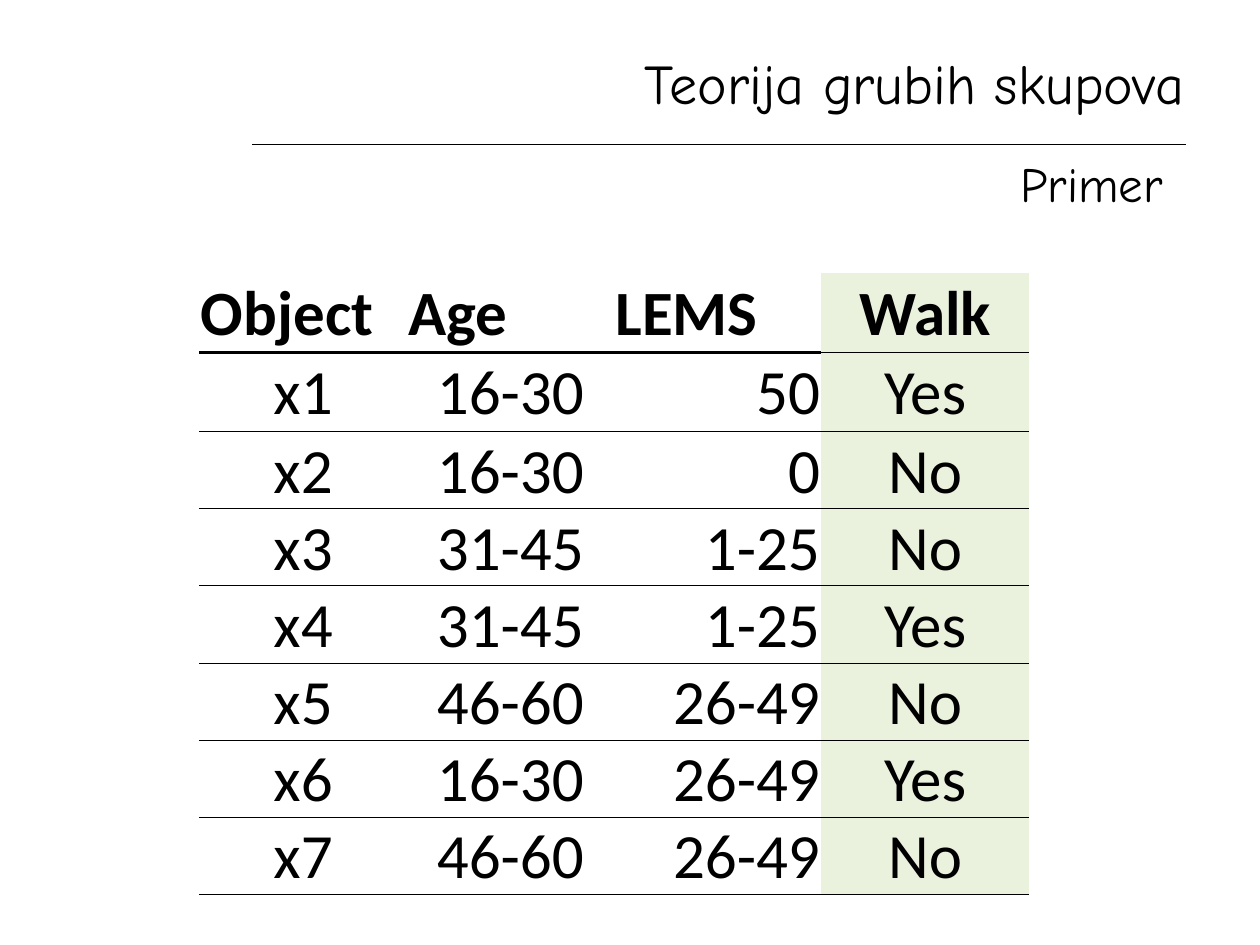
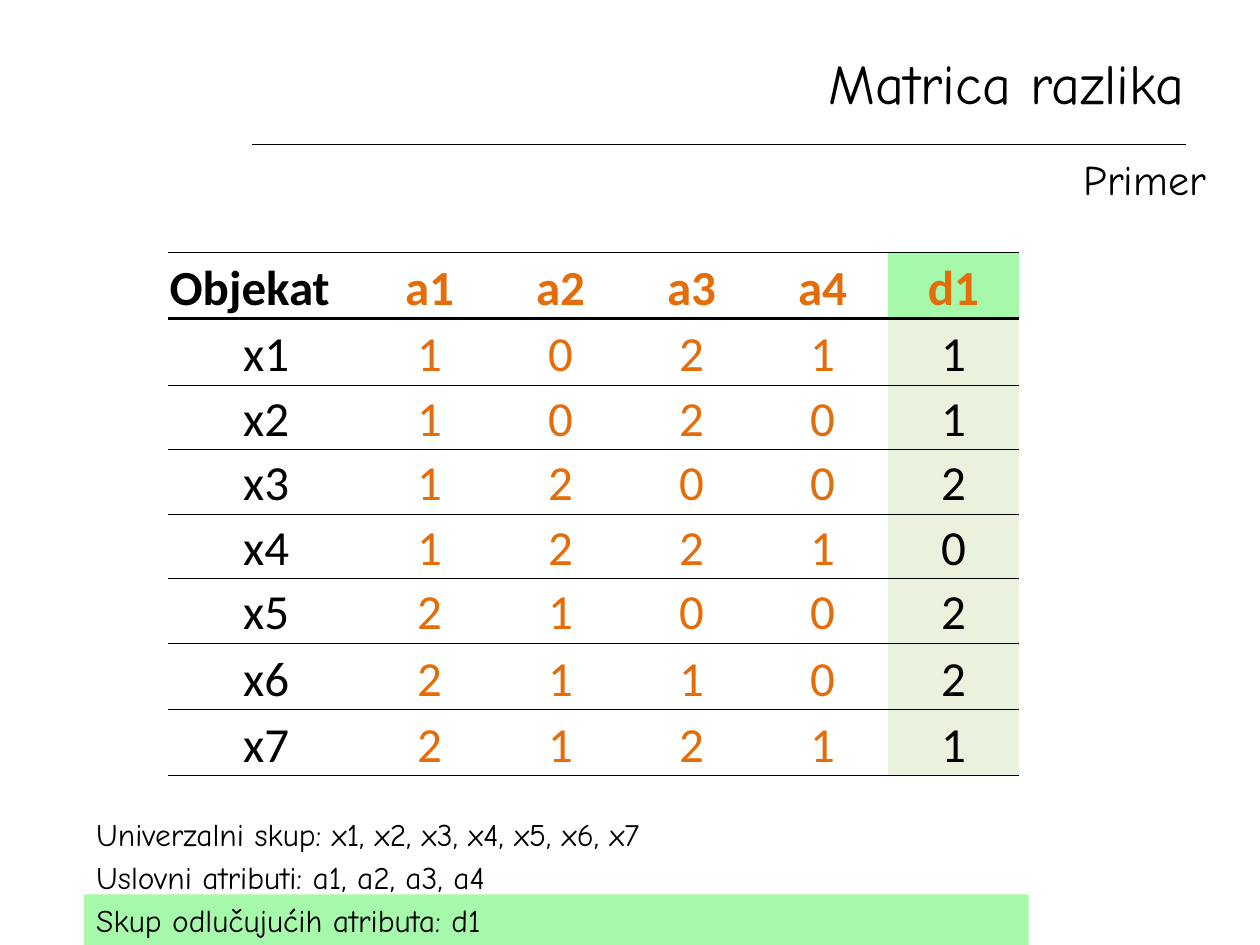
import pptx
import pptx.dml.color
import pptx.enum.shapes
import pptx.enum.text
import pptx.oxml
import pptx.oxml.ns
import pptx.util
from lxml import etree

Cm = pptx.util.Cm
Pt = pptx.util.Pt
RGBColor = pptx.dml.color.RGBColor
ALIGN = pptx.enum.text.PP_ALIGN
ANCHOR = pptx.enum.text.MSO_ANCHOR
qn = pptx.oxml.ns.qn

BLACK = RGBColor(0x00, 0x00, 0x00)
ORANGE = RGBColor(0xE4, 0x6D, 0x0A)
PALE_GREEN = RGBColor(0xEA, 0xF1, 0xDD)
BRIGHT_GREEN = RGBColor(0xA6, 0xF8, 0xAA)

HEADING_FONT = "Comic Neue"
TABLE_FONT = "Calibri"
THIN, THICK = 0.5, 2
ALIGNS = {"l": ALIGN.LEFT, "c": ALIGN.CENTER, "r": ALIGN.RIGHT}
CELL_FORMAT = {
    "margin_left": Cm(0.03),
    "margin_right": Cm(0.03),
    "margin_top": Cm(0.03),
    "margin_bottom": 0,
    "vertical_anchor": ANCHOR.BOTTOM,
}

PATIENTS = [
    ["Object", "Age", "LEMS", "Walk"],
    ["x1", "16-30", "50", "Yes"],
    ["x2", "16-30", "0", "No"],
    ["x3", "31-45", "1-25", "No"],
    ["x4", "31-45", "1-25", "Yes"],
    ["x5", "46-60", "26-49", "No"],
    ["x6", "16-30", "26-49", "Yes"],
    ["x7", "46-60", "26-49", "No"],
]
ATTRIBUTES = [
    ["Objekat", "a1", "a2", "a3", "a4", "d1"],
    ["x1", "1", "0", "2", "1", "1"],
    ["x2", "1", "0", "2", "0", "1"],
    ["x3", "1", "2", "0", "0", "2"],
    ["x4", "1", "2", "2", "1", "0"],
    ["x5", "2", "1", "0", "0", "2"],
    ["x6", "2", "1", "1", "0", "2"],
    ["x7", "2", "1", "2", "1", "1"],
]
SETS = [
    ("Univerzalni skup: x1, x2, x3, x4, x5, x6, x7", None),
    ("Uslovni atributi: a1, a2, a3, a4", None),
    ("Skup odlučujućih atributa: d1", BRIGHT_GREEN),
]


def set_attrs(obj, values):
    for name, value in values.items():
        setattr(obj, name, value)


def write(tf, text, size, align=ALIGN.LEFT, font=HEADING_FONT, color=BLACK, bold=False):
    p = tf.paragraphs[0]
    p.alignment = align
    r = p.add_run()
    r.text = text
    set_attrs(r.font, {"name": font, "size": Pt(size), "bold": bold})
    r.font.color.rgb = color


def add_text(s, box, text, size, align=ALIGN.LEFT, anchor=ANCHOR.TOP, fill=None):
    sp = s.shapes.add_textbox(*map(Cm, box))
    if fill is not None:
        sp.fill.solid()
        sp.fill.fore_color.rgb = fill
    set_attrs(sp.text_frame, {"word_wrap": True, "vertical_anchor": anchor})
    write(sp.text_frame, text, size, align)


def add_header(s, box, title):
    left, top, width, height = box
    add_text(s, box, title, 32, ALIGN.RIGHT, ANCHOR.MIDDLE)
    y = Cm(top + height + 0.3)
    line = s.shapes.add_connector(
        pptx.enum.shapes.MSO_CONNECTOR.STRAIGHT, Cm(left), y, Cm(left + width - 0.23), y)
    line.line.color.rgb = BLACK
    line.line.width = Pt(0.75)
    etree.SubElement(line._element.spPr, qn("a:effectLst"))


def set_borders(cell, top, bottom):
    tcPr = cell._tc.get_or_add_tcPr()
    sides = [("lnL", 0), ("lnR", 0), ("lnT", top), ("lnB", bottom)]
    for i, (side, width) in enumerate(sides):
        ln = etree.Element(qn(f"a:{side}"), w=str(int(Pt(width))))
        if width:
            fill = etree.SubElement(ln, qn("a:solidFill"))
            etree.SubElement(fill, qn("a:srgbClr"), val=str(BLACK))
        else:
            etree.SubElement(ln, qn("a:noFill"))
        tcPr.insert(i, ln)


def fill_cell(cell, text, size, align, color, bold, fill, top, bottom):
    set_attrs(cell, CELL_FORMAT)
    write(cell.text_frame, text, size, align, TABLE_FONT, color, bold)
    if fill is None:
        cell.fill.background()
    else:
        cell.fill.solid()
        cell.fill.fore_color.rgb = fill
    set_borders(cell, top, bottom)


def add_data_table(s, box, data, col_widths, row_heights, size, head_aligns, body_aligns,
                   accent=BLACK, decision_head=PALE_GREEN, top_rule=0, decision_rule=THICK):
    frame = s.shapes.add_table(len(data), len(data[0]), *map(Cm, box))
    table = frame.table
    set_attrs(table, {"first_row": False, "horz_banding": False})
    for col, width in zip(table.columns, col_widths):
        col.width = Cm(width)
    for row, height in zip(table.rows, row_heights):
        row.height = Cm(height)
    last = len(data[0]) - 1
    for i, values in enumerate(data):
        head = i == 0
        aligns = head_aligns if head else body_aligns
        for j, text in enumerate(values):
            decision = j == last
            head_rule = decision_rule if decision else THICK
            color = accent if 0 < j < last or (head and decision) else BLACK
            fill = (decision_head if head else PALE_GREEN) if decision else None
            top = top_rule if head else head_rule if i == 1 else THIN
            fill_cell(table.cell(i, j), text, size, ALIGNS[aligns[j]], color, head, fill,
                      top, head_rule if head else THIN)


def add_sets(s, box):
    left, top, width, height = box
    step = height / len(SETS)
    for i, (text, fill) in enumerate(SETS):
        add_text(s, (left, top + i * step, width, 1.02), text, 18, fill=fill)


def add_slide(prs, title):
    s = prs.slides.add_slide(prs.slide_layouts[6])
    add_header(s, (5.08, 0.71, 19.05, 1.91), title)
    return s


def rough_sets_slide(prs):
    s = add_slide(prs, "Teorija grubih skupova")
    add_text(s, (20.32, 2.97, 3.61, 1.45), "Primer", 28)
    add_data_table(s, (4.02, 5.5, 16.72, 12.5), PATIENTS, [4.18] * 4,
                   [1.6] * 2 + [1.55] * 6, 36, "lllc", "ccrc", decision_rule=THIN)


def difference_matrix_slide(prs):
    s = add_slide(prs, "Matrica razlika")
    add_text(s, (17.58, 2.97, 6.98, 1.27), "Primer", 24, ALIGN.RIGHT, ANCHOR.MIDDLE)
    add_data_table(s, (3.39, 5.08, 17.15, 10.56), ATTRIBUTES, [3.95] + [2.64] * 5,
                   [1.34] * 2 + [1.3] * 4 + [1.34] * 2, 28, "lccccc", "cccccc",
                   ORANGE, BRIGHT_GREEN, THIN)
    add_sets(s, (1.69, 16.31, 19.05, 2.58))


def main():
    prs = pptx.Presentation()
    set_attrs(prs, {"slide_width": Cm(25.4), "slide_height": Cm(19.05)})
    rough_sets_slide(prs)
    difference_matrix_slide(prs)
    prs.save("out.pptx")


if __name__ == "__main__":
    main()
